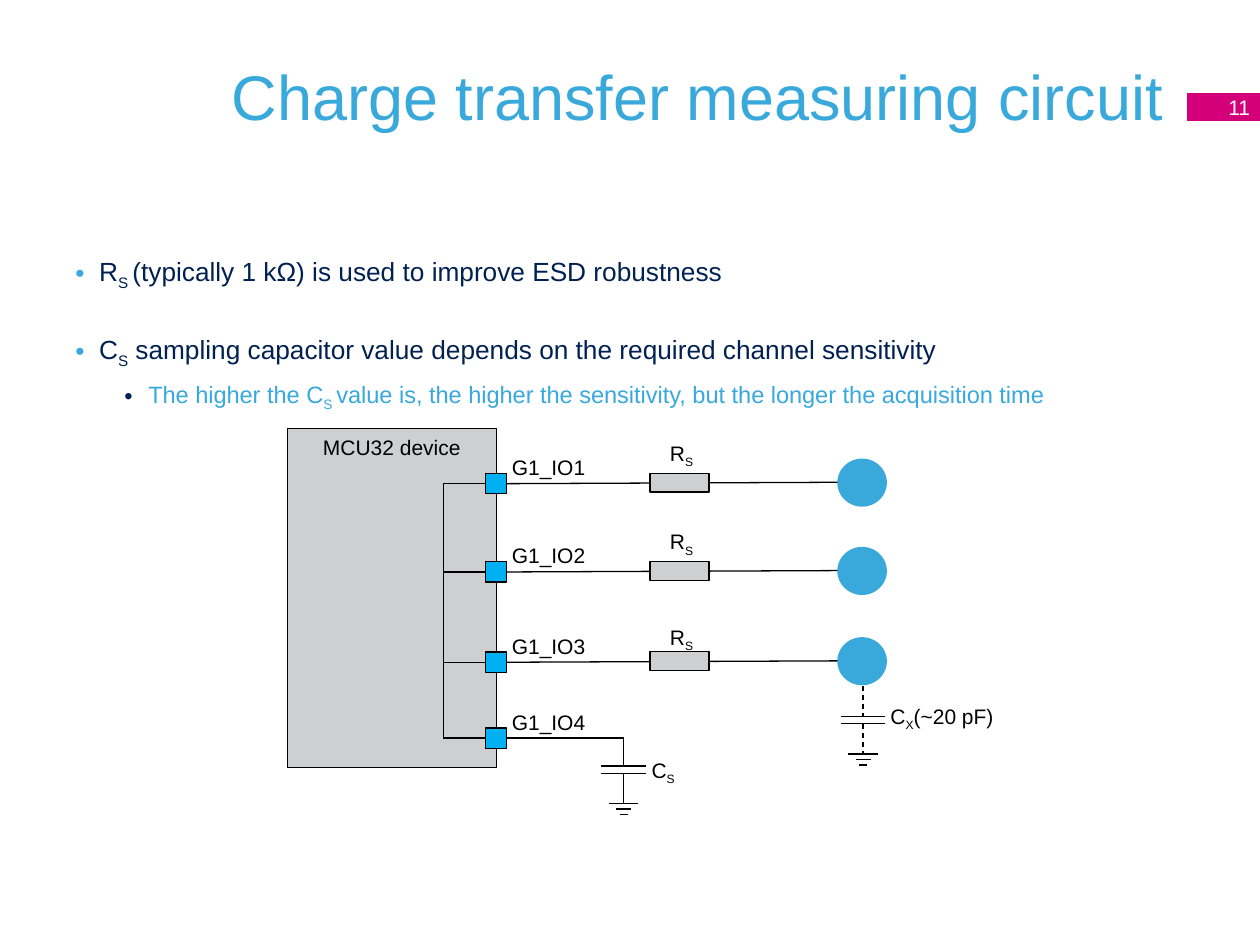
from lxml.etree import SubElement
from pptx import Presentation
from pptx.dml.color import RGBColor
from pptx.enum.dml import MSO_LINE
from pptx.enum.shapes import MSO_CONNECTOR, MSO_SHAPE
from pptx.enum.text import MSO_ANCHOR, PP_ALIGN
from pptx.oxml.ns import qn
from pptx.util import Cm, Pt

SKY = RGBColor(0x39, 0xA9, 0xDC)
NAVY = RGBColor(0x00, 0x21, 0x52)
MAGENTA = RGBColor(0xD4, 0x00, 0x7A)
GRAY = RGBColor(0xCE, 0xCF, 0xD0)
PIN_BLUE = RGBColor(0x00, 0xB0, 0xF0)
BLACK = RGBColor(0x00, 0x00, 0x00)
WHITE = RGBColor(0xFF, 0xFF, 0xFF)

BUS_X = 8.94
PIN_X = 10.0
PIN_ROWS = [9.75, 11.53, 13.35, 14.88]
RESISTOR_X = 13.7
ELECTRODE_X = 17.38
CS_X = 12.57


def write(paragraph, parts, size, color, align=PP_ALIGN.CENTER):
    """Fill a paragraph with parts, every second one being a subscript."""
    paragraph.alignment = align
    paragraph.font.name = "Arial"
    paragraph.font.size = Pt(size)
    paragraph.font.color.rgb = color
    for index, part in enumerate(parts):
        run = paragraph.add_run()
        run.text = part
        if index % 2:
            run._r.get_or_add_rPr().set("baseline", "-25000")


def add_title(slide, text):
    """Place and format the slide title."""
    title = slide.shapes.title
    title.left, title.top, title.width, title.height = Cm(1.27), Cm(0.33), Cm(22.43), Cm(3.18)
    title.text_frame.vertical_anchor = MSO_ANCHOR.MIDDLE
    write(title.text_frame.paragraphs[0], [text], 36, SKY, PP_ALIGN.RIGHT)


def add_bullet(paragraph, parts, size, color, bullet_color, indent, before):
    """Write a bulleted paragraph with a hanging indent."""
    write(paragraph, parts, size, color, PP_ALIGN.LEFT)
    paragraph.space_before = Pt(before)
    paragraph.space_after = Pt(6)
    properties = paragraph._p.get_or_add_pPr()
    properties.set("marL", str(Cm(indent)))
    properties.set("indent", str(Cm(-0.48)))
    bullet_fill = SubElement(properties, qn("a:buClr"))
    SubElement(bullet_fill, qn("a:srgbClr")).set("val", str(bullet_color))
    SubElement(properties, qn("a:buFont")).set("typeface", "Arial")
    SubElement(properties, qn("a:buChar")).set("char", "•")
    properties.append(properties.find(qn("a:defRPr")))


def add_body(slide):
    """Add the bulleted explanation."""
    box = slide.shapes.add_textbox(Cm(1.27), Cm(5.03), Cm(22.86), Cm(3.18))
    frame = box.text_frame
    frame.word_wrap = True
    resistor = ["R", "S ", "(typically 1 kΩ) is used to improve ESD robustness"]
    capacitor = ["C", "S", " sampling capacitor value depends on the required channel sensitivity"]
    tradeoff = ["The higher the C", "S ",
                "value is, the higher the sensitivity, but the longer the acquisition time"]
    add_bullet(frame.paragraphs[0], resistor, 15, NAVY, SKY, 0.48, 18)
    add_bullet(frame.add_paragraph(), capacitor, 15, NAVY, SKY, 0.48, 18)
    add_bullet(frame.add_paragraph(), tradeoff, 13.5, SKY, NAVY, 1.47, 0)


def add_block(slide, left, top, width, height, fill, outlined=True, kind=MSO_SHAPE.RECTANGLE):
    """Add a filled shape with an optional thin black outline."""
    shape = slide.shapes.add_shape(kind, Cm(left), Cm(top), Cm(width), Cm(height))
    shape.shadow.inherit = False
    shape.fill.solid()
    shape.fill.fore_color.rgb = fill
    if outlined:
        shape.line.color.rgb = BLACK
        shape.line.width = Pt(0.75)
    else:
        shape.line.fill.background()
    return shape


def add_centered(slide, x, y, width, height, fill, **options):
    """Add a filled shape around a center point."""
    return add_block(slide, x - width / 2, y - height / 2, width, height, fill, **options)


def add_wire(slide, x1, y1, x2, y2, dashed=False):
    """Add a thin black line."""
    wire = slide.shapes.add_connector(MSO_CONNECTOR.STRAIGHT, Cm(x1), Cm(y1), Cm(x2), Cm(y2))
    wire.line.color.rgb = BLACK
    wire.line.width = Pt(0.75)
    if dashed:
        wire.line.dash_style = MSO_LINE.DASH
    SubElement(wire._element.spPr, qn("a:effectLst"))


def add_label(slide, x, top, width, parts):
    """Add a label centered on x."""
    box = slide.shapes.add_textbox(Cm(x - width / 2), Cm(top), Cm(width), Cm(0.76))
    box.text_frame.word_wrap = True
    write(box.text_frame.paragraphs[0], parts, 12, BLACK)


def add_grounded_capacitor(slide, x, start, plate, dashed=False):
    """Draw a capacitor from a starting point down to ground."""
    lower_plate = plate + 0.15
    ground = lower_plate + 0.61
    add_wire(slide, x, start, x, plate, dashed)
    add_wire(slide, x, lower_plate, x, ground, dashed)
    for y in (plate, lower_plate):
        add_wire(slide, x - 0.45, y, x + 0.45, y)
    for step, half in enumerate((0.3, 0.15, 0.08)):
        y = ground + step * 0.11
        add_wire(slide, x - half, y, x + half, y)


def add_pin(slide, number, y):
    """Draw a device pin with its bus branch and name."""
    add_wire(slide, BUS_X, y, PIN_X, y)
    add_centered(slide, PIN_X, y, 0.43, 0.41, PIN_BLUE)
    add_label(slide, 11.06, y - 0.71, 2.16, [f"G1_IO{number}"])


def add_channel(slide, y, label_top):
    """Draw a wire, series resistor and touch electrode."""
    add_wire(slide, PIN_X + 0.21, y, ELECTRODE_X, y - 0.03)
    add_centered(slide, RESISTOR_X, y - 0.02, 1.19, 0.38, GRAY)
    add_centered(slide, ELECTRODE_X, y - 0.02, 1.0, 0.97, SKY,
                 outlined=False, kind=MSO_SHAPE.OVAL)
    add_label(slide, RESISTOR_X + 0.04, label_top, 1.22, ["R", "S"])


def add_circuit(slide):
    """Draw the device, its channels and the capacitors."""
    device = add_block(slide, 5.79, 8.64, 4.22, 6.83, GRAY)
    device.text_frame.vertical_anchor = MSO_ANCHOR.TOP
    write(device.text_frame.paragraphs[0], ["MCU32 device"], 12, BLACK)
    add_wire(slide, BUS_X, PIN_ROWS[0], BUS_X, PIN_ROWS[-1])
    for number, y in enumerate(PIN_ROWS, start=1):
        add_pin(slide, number, y)
    for y, label_top in zip(PIN_ROWS, (8.76, 10.54, 12.47)):
        add_channel(slide, y, label_top)
    add_wire(slide, PIN_X + 0.21, PIN_ROWS[-1], CS_X, PIN_ROWS[-1])
    add_grounded_capacitor(slide, CS_X, PIN_ROWS[-1], 15.44)
    add_label(slide, 13.37, 15.14, 2.67, ["C", "S"])
    add_grounded_capacitor(slide, ELECTRODE_X + 0.02, 13.82, 14.44, dashed=True)
    add_label(slide, 18.99, 14.05, 3.12, ["C", "X", "(~20 pF)"])


def main():
    """Build and save the slide."""
    presentation = Presentation()
    presentation.slide_width, presentation.slide_height = Cm(25.4), Cm(19.05)
    slide = presentation.slides.add_slide(presentation.slide_layouts[5])
    add_title(slide, "Charge transfer measuring circuit")
    add_body(slide)
    page_number = add_block(slide, 23.93, 1.88, 1.52, 0.56, MAGENTA, outlined=False)
    page_number.text_frame.vertical_anchor = MSO_ANCHOR.MIDDLE
    write(page_number.text_frame.paragraphs[0], ["11"], 12, WHITE, PP_ALIGN.RIGHT)
    add_circuit(slide)
    presentation.save("out.pptx")


if __name__ == "__main__":
    main()
